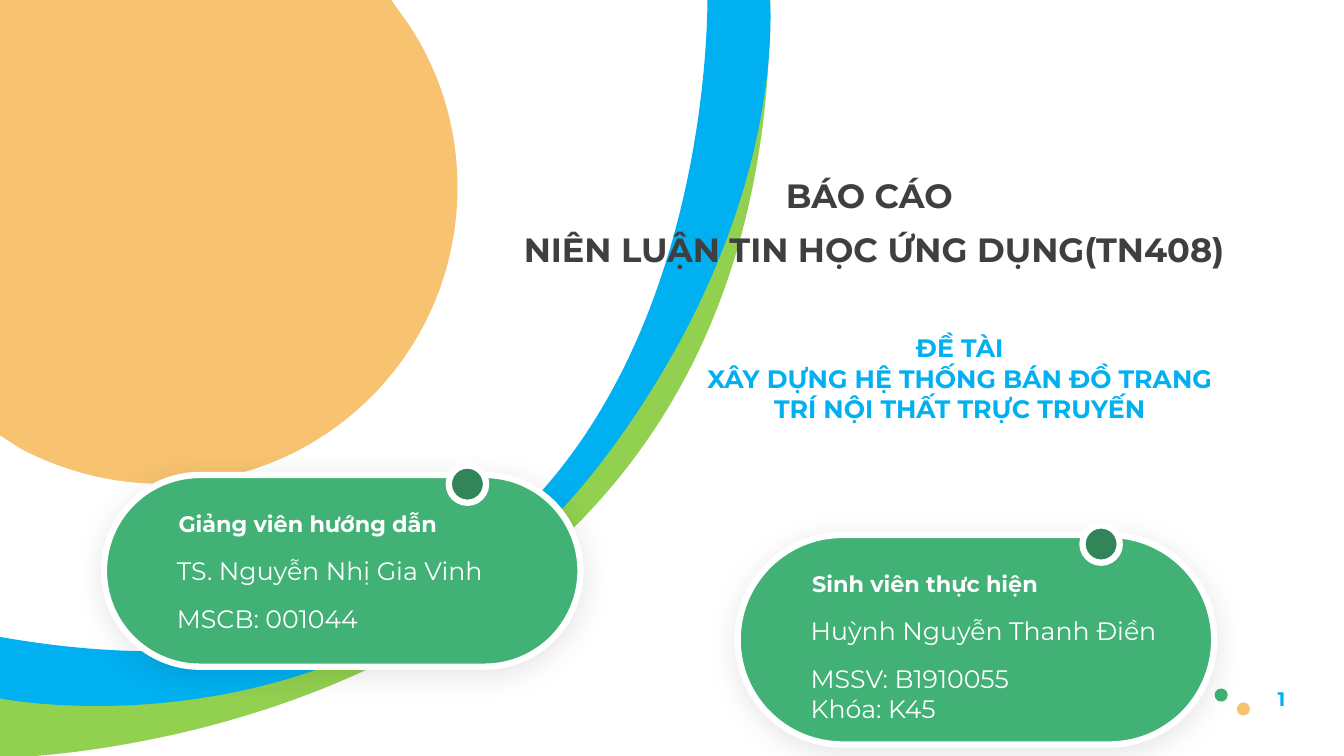
from lxml.etree import SubElement
from pptx import Presentation
from pptx.dml.color import RGBColor
from pptx.enum.shapes import MSO_SHAPE
from pptx.enum.text import MSO_ANCHOR, MSO_AUTO_SIZE, PP_ALIGN
from pptx.oxml import parse_xml
from pptx.oxml.ns import nsdecls, qn
from pptx.util import Cm, Pt

# Content
REPORT = ["BÁO CÁO ", "NIÊN LUẬN TIN HỌC ỨNG DỤNG(TN408)"]
TOPIC = ["ĐỀ TÀI", "XÂY DỰNG HỆ THỐNG BÁN ĐỒ TRANG TRÍ NỘI THẤT TRỰC TRUYẾN"]
PAGE = ["1"]
# Card: left, top, height (cm), heading, person, details
CARDS = [
    (2.62, 11.97, 4.83, "Giảng viên hướng dẫn",
     "TS. Nguyễn Nhị Gia Vinh", ["MSCB: 001044"]),
    (18.59, 13.48, 5.28, "Sinh viên thực hiện",
     "Huỳnh Nguyễn Thanh Điền", ["MSSV: B1910055", "Khóa: K45"]),
]

FONT = "Montserrat"
WHITE, GREEN, DARK_GREEN = "FFFFFF", "41B176", "318558"
ORANGE, BLUE, LIME, GREY = "F7C370", "00B0F0", "92D050", "3F3F3F"

# Outlines in cm: a pair is a corner, three pairs are a Bezier curve
SUN = [(0, 0), (9.86, 0), (10.26, 0.56),
       ((11.07, 1.75), (11.53, 3.18), (11.53, 4.72)),
       ((11.53, 8.86), (8.2, 12.19), (4.06, 12.19)),
       ((2.79, 12.19), (1.57, 11.86), (0.51, 11.3)), (0, 10.97)]
LIME_ARC = [(19.35, 0), (19.41, 0), (19.41, 0.25),
            ((19.28, 18.92), (0, 19.1), (0, 19.1)), (0, 17.09),
            ((16.76, 17.68), (19.08, 4.95), (19.33, 0.18))]
BLUE_ARC = [(17.83, 0), (19.41, 0), (19.41, 0.03),
            ((19.46, 1.14), (19.43, 5.92), (15.32, 11.43)),
            ((9.35, 19.48), (0, 17.6), (0, 17.6)), (0, 16.05),
            ((17.17, 19.08), (17.81, 2.16), (17.83, 0.05))]


def color(hex_text):
    return RGBColor.from_string(hex_text)


def paint(shape, fill, outline=None):
    shape.shadow.inherit = False
    shape.fill.solid()
    shape.fill.fore_color.rgb = color(fill)
    if outline:
        shape.line.color.rgb = color(outline)
        shape.line.width = Pt(4.5)
    else:
        shape.line.fill.background()


def add_outline(shapes, outline, height, fill):
    parts = [part if len(part) == 3 else (part,) for part in outline]
    ends = [(Cm(x), Cm(y)) for x, y in (part[-1] for part in parts)]
    builder = shapes.build_freeform(*ends[0])
    builder.add_line_segments(ends[1:], close=True)
    shape = builder.convert_to_shape()
    paint(shape, fill)

    # Let the frame cover the full bulge of the curves
    shape.height = Cm(height)
    track = shape.element.find(".//" + qn("a:path"))
    track.set("h", str(Cm(height)))

    # Bend the segments that are curves
    for segment, part in zip(track.findall(qn("a:lnTo")), parts[1:]):
        if len(part) == 3:
            segment.tag = qn("a:cubicBezTo")
            segment.remove(segment[0])
            for x, y in part:
                SubElement(segment, qn("a:pt"), x=str(Cm(x)), y=str(Cm(y)))


def add_round(shapes, left, top, size, fill, outline=None):
    dot = shapes.add_shape(MSO_SHAPE.OVAL, Cm(left), Cm(top), Cm(size), Cm(size))
    paint(dot, fill, outline)


def write(frame, lines, size, ink, bold=False, align=PP_ALIGN.LEFT, gap=0):
    frame.word_wrap = True
    frame.auto_size = MSO_AUTO_SIZE.NONE
    for index, line in enumerate(lines):
        paragraph = frame.paragraphs[0] if index == 0 else frame.add_paragraph()
        paragraph.text = line
        paragraph.alignment = align
        paragraph.space_before = Pt(gap if index else 0)
        paragraph.font.name = FONT
        paragraph.font.size = Pt(size)
        paragraph.font.bold = bold
        paragraph.font.color.rgb = color(ink)


def add_text(shapes, box, lines, size, ink, **style):
    text = shapes.add_textbox(*[Cm(length) for length in box])
    write(text.text_frame, lines, size, ink, **style)


def add_soft_shadow(shape):
    shape.element.spPr.find(qn("a:effectLst")).append(parse_xml(
        f'<a:outerShdw {nsdecls("a")} blurRad="{Pt(21)}" dist="{Pt(4)}" '
        'dir="5400000" algn="t" rotWithShape="0"><a:srgbClr val="000000">'
        '<a:alpha val="10000"/></a:srgbClr></a:outerShdw>'))


def add_card(shapes, left, top, height, heading, person, details):
    card = shapes.add_shape(MSO_SHAPE.ROUNDED_RECTANGLE,
                            Cm(left), Cm(top), Cm(12.01), Cm(height))
    card.adjustments[0] = 0.5
    paint(card, GREEN, WHITE)
    add_soft_shadow(card)
    add_text(shapes, (left + 1.63, top + 0.76, 8, 0.94), [heading], 16, WHITE, bold=True)
    add_text(shapes, (left + 1.59, top + 1.89, 9.27, 1.02), [person], 18, WHITE)
    add_text(shapes, (left + 1.59, top + 3.11, 9.27, 0.25 + 0.77 * len(details)),
             details, 18, WHITE)
    add_round(shapes, left + 8.69, top - 0.24, 0.94, DARK_GREEN, WHITE)


def main():
    deck = Presentation()
    deck.slide_width, deck.slide_height = Cm(33.87), Cm(19.05)
    slide = deck.slides.add_slide(deck.slide_layouts[5])
    shapes = slide.shapes

    # Background curves, page number and its dots
    add_outline(shapes, SUN, 12.19, ORANGE)
    add_round(shapes, 30.61, 17.35, 0.33, GREEN)
    add_round(shapes, 31.17, 17.7, 0.33, ORANGE)
    add_text(shapes, (31.62, 17.18, 1.35, 0.86), PAGE, 14, BLUE,
             bold=True, align=PP_ALIGN.CENTER)
    add_outline(shapes, LIME_ARC, 19.1, LIME)
    add_outline(shapes, BLUE_ARC, 17.81, BLUE)

    # Title, brought in front of the curves
    title = shapes.title
    title.left, title.top, title.width, title.height = Cm(12.32), Cm(4.55), Cm(19.41), Cm(2.08)
    title.text_frame.vertical_anchor = MSO_ANCHOR.MIDDLE
    write(title.text_frame, REPORT, 24, GREY, bold=True, align=PP_ALIGN.CENTER, gap=10)
    shapes.element.append(title.element)

    # Topic and people
    add_text(shapes, (17.2, 8.26, 13.97, 2.57), TOPIC, 18, BLUE,
             bold=True, align=PP_ALIGN.CENTER)
    for card in CARDS:
        add_card(shapes, *card)

    deck.save("out.pptx")


if __name__ == "__main__":
    main()
